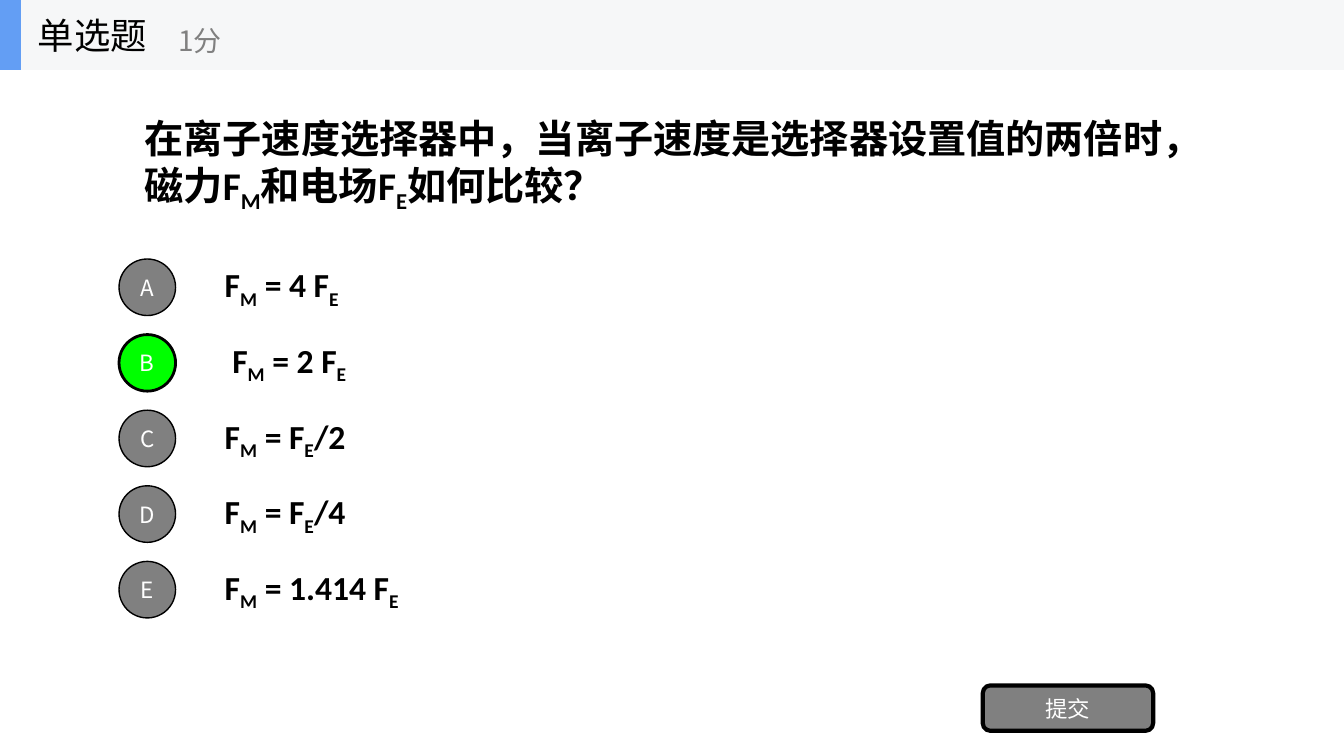
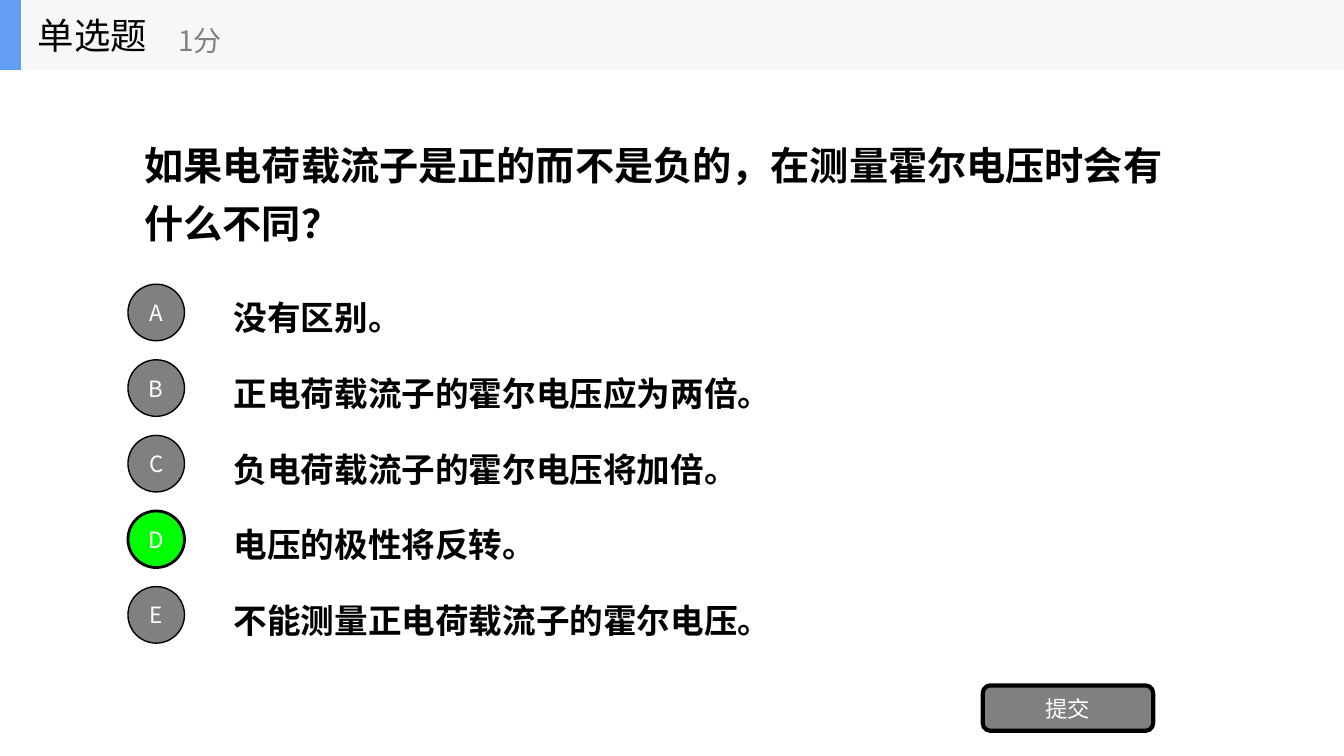
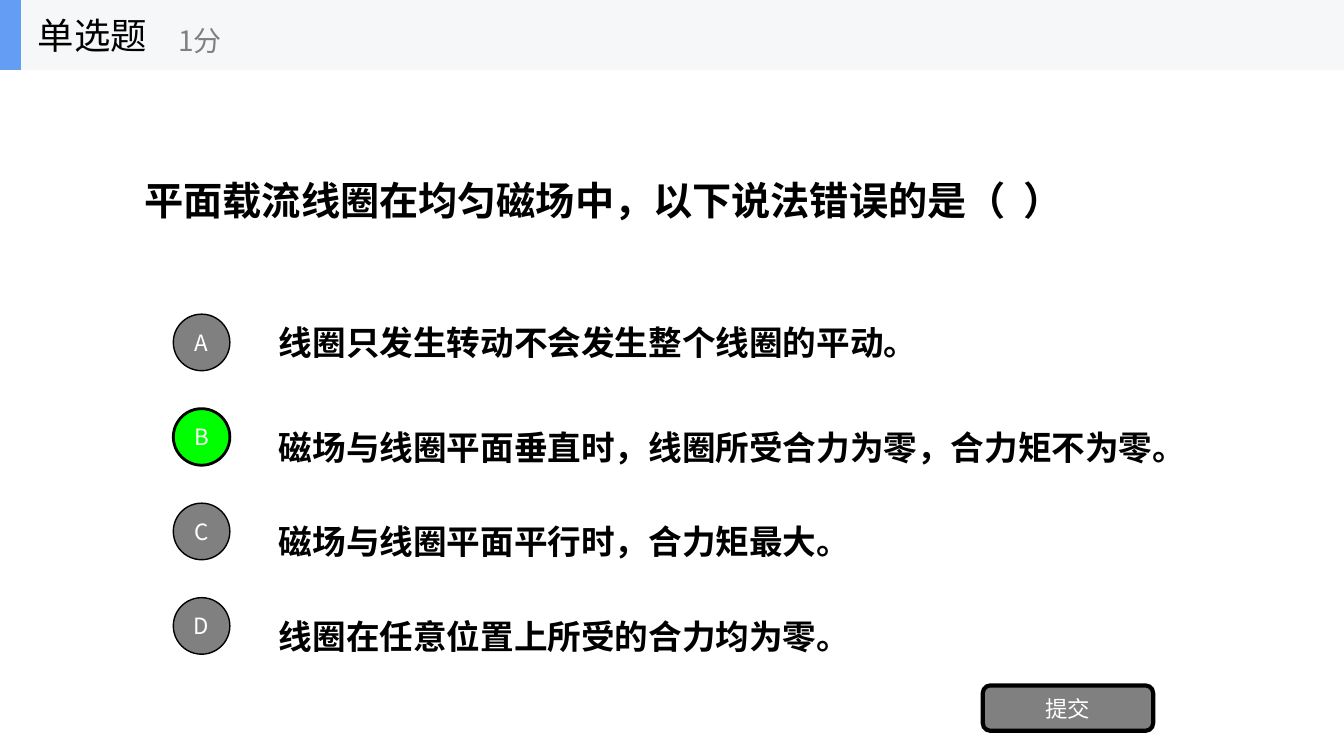
"""Build three single-choice quiz slides on magnetic fields."""
from dataclasses import dataclass

from lxml.etree import SubElement
from pptx import Presentation
from pptx.dml.color import RGBColor
from pptx.enum.shapes import MSO_SHAPE
from pptx.enum.text import MSO_ANCHOR, MSO_AUTO_SIZE, PP_ALIGN
from pptx.oxml.ns import qn
from pptx.util import Pt


@dataclass(frozen=True)
class Theme:
    """Colours, fonts and type sizes shared by the slides."""

    ink: str = "000000"
    paper: str = "FFFFFF"
    grey: str = "808080"
    correct: str = "00FF00"
    band: str = "F6F7F8"
    accent: str = "639EF4"
    content_font: str = "Calibri"
    label_font: str = "Noto Sans CJK SC"
    question_size: int = 28
    kind_size: int = 26
    option_size: int = 24
    score_size: int = 20
    button_size: int = 16


@dataclass(frozen=True)
class Question:
    """Wording and layout of one quiz slide, with subscripts between bars."""

    text: str
    options: tuple
    answer: str
    left: float
    top: float
    pitch: float = 54
    question_spacing: float = 1
    option_spacing: float = 1
    first_spacing: float = 1
    lift: float = 0


THEME = Theme()
SLIDE_WIDTH, SLIDE_HEIGHT = 960, 540
BAND_HEIGHT = 50
OPTION_WIDTH, OPTION_HEIGHT = 672, 50.4
BADGE_SIZE, BADGE_GAP = 40.4, 68.4
INSET = 3.6

QUESTIONS = (
    Question(
        "在离子速度选择器中，当离子速度是选择器设置值的两倍时，磁力F|M|和电场F|E|如何比较？",
        ("F|M| = 4 F|E", " F|M| = 2 F|E", "F|M| = F|E|/2", "F|M| = F|E|/4",
         "F|M| = 1.414 F|E"),
        answer="B", left=153.4, top=180, lift=34,
    ),
    Question(
        "如果电荷载流子是正的而不是负的，在测量霍尔电压时会有什么不同？",
        ("没有区别。", "正电荷载流子的霍尔电压应为两倍。", "负电荷载流子的霍尔电压将加倍。",
         "电压的极性将反转。", "不能测量正电荷载流子的霍尔电压。"),
        answer="D", left=159.8, top=198,
        question_spacing=1.25, option_spacing=1.25, first_spacing=1.25,
    ),
    Question(
        "平面载流线圈在均匀磁场中，以下说法错误的是（  ）",
        ("线圈只发生转动不会发生整个线圈的平动。",
         "磁场与线圈平面垂直时，线圈所受合力为零，合力矩不为零。",
         "磁场与线圈平面平行时，合力矩最大。", "线圈在任意位置上所受的合力均为零。"),
        answer="B", left=192.2, top=219.4, pitch=67.5,
        question_spacing=1.5, option_spacing=1.5,
    ),
)


def write(frame, text, font, size, color, bold=False, align=PP_ALIGN.LEFT, spacing=1):
    """Fill a text frame with one vertically centred paragraph."""
    frame.word_wrap = True
    frame.auto_size = MSO_AUTO_SIZE.NONE
    frame.vertical_anchor = MSO_ANCHOR.MIDDLE
    pieces = text.split("|")
    frame.text = pieces[0]
    paragraph = frame.paragraphs[0]
    paragraph.alignment = align
    paragraph.line_spacing = spacing
    for piece in pieces[1:]:
        paragraph.add_run().text = piece
    for index, run in enumerate(paragraph.runs):
        run.font.name = font
        run.font.size = Pt(size)
        run.font.bold = bold
        run.font.color.rgb = RGBColor.from_string(color)
        properties = run.font._element
        SubElement(properties, qn("a:ea")).set("typeface", font)
        if index % 2:
            properties.set("baseline", "-25000")


def add_block(slide, preset, box, fill, border=0):
    """Add a filled preset shape, outlined when a border width is given."""
    block = slide.shapes.add_shape(preset, *map(Pt, box))
    block.shadow.inherit = False
    block.fill.solid()
    block.fill.fore_color.rgb = RGBColor.from_string(fill)
    if border:
        block.line.color.rgb = RGBColor.from_string(THEME.ink)
        block.line.width = Pt(border)
    else:
        block.line.fill.background()
    return block


def add_button(slide, preset, box, label, fill, border):
    """Add an outlined shape with a centred white label."""
    frame = add_block(slide, preset, box, fill, border).text_frame
    frame.margin_left = frame.margin_right = 0
    write(frame, label, THEME.label_font, THEME.button_size, THEME.paper,
          align=PP_ALIGN.CENTER)


def add_text(slide, box, text, font, size, color, **style):
    """Add a text box."""
    frame = slide.shapes.add_textbox(*map(Pt, box)).text_frame
    write(frame, text, font, size, color, **style)


def add_header(slide):
    """Add the top band with the question kind and its score."""
    add_block(slide, MSO_SHAPE.RECTANGLE, (0, 0, SLIDE_WIDTH, BAND_HEIGHT), THEME.band)
    add_block(slide, MSO_SHAPE.RECTANGLE, (0, 0, 15, BAND_HEIGHT), THEME.accent)
    add_text(slide, (20, 0, 150, BAND_HEIGHT), "单选题",
             THEME.label_font, THEME.kind_size, THEME.ink)
    add_text(slide, (120.2, 8.8, 180, 40), "1分",
             THEME.label_font, THEME.score_size, THEME.grey)


def place_question(slide, question):
    """Put the question into the title placeholder."""
    title = slide.shapes.title
    title.left, title.top, title.width, title.height = map(
        Pt, (96, BAND_HEIGHT, 768, 168.5))
    title.text_frame.margin_bottom = Pt(INSET + question.lift)
    write(title.text_frame, question.text, THEME.content_font, THEME.question_size,
          THEME.ink, bold=True, spacing=question.question_spacing)


def add_options(slide, question):
    """Add the lettered options and highlight the answer."""
    for row, (letter, option) in enumerate(zip("ABCDE", question.options)):
        top = question.top + row * question.pitch
        spacing = question.option_spacing if row else question.first_spacing
        add_text(slide, (question.left, top, OPTION_WIDTH, OPTION_HEIGHT), option,
                 THEME.content_font, THEME.option_size, THEME.ink,
                 bold=True, spacing=spacing)
        badge = (question.left - BADGE_GAP, top + (OPTION_HEIGHT - BADGE_SIZE) / 2,
                 BADGE_SIZE, BADGE_SIZE)
        fill, border = (THEME.correct, 2) if letter == question.answer else (THEME.grey, 1)
        add_button(slide, MSO_SHAPE.OVAL, badge, letter, fill, border)


def main():
    """Build and save the deck."""
    deck = Presentation()
    deck.slide_width, deck.slide_height = Pt(SLIDE_WIDTH), Pt(SLIDE_HEIGHT)
    title_only = deck.slide_layouts[5]
    for question in QUESTIONS:
        slide = deck.slides.add_slide(title_only)
        add_header(slide)
        place_question(slide, question)
        add_options(slide, question)
        add_button(slide, MSO_SHAPE.ROUNDED_RECTANGLE, (702, 489.6, 121.7, 32.4),
                   "提交", THEME.grey, 3)
    deck.save("out.pptx")


if __name__ == "__main__":
    main()
